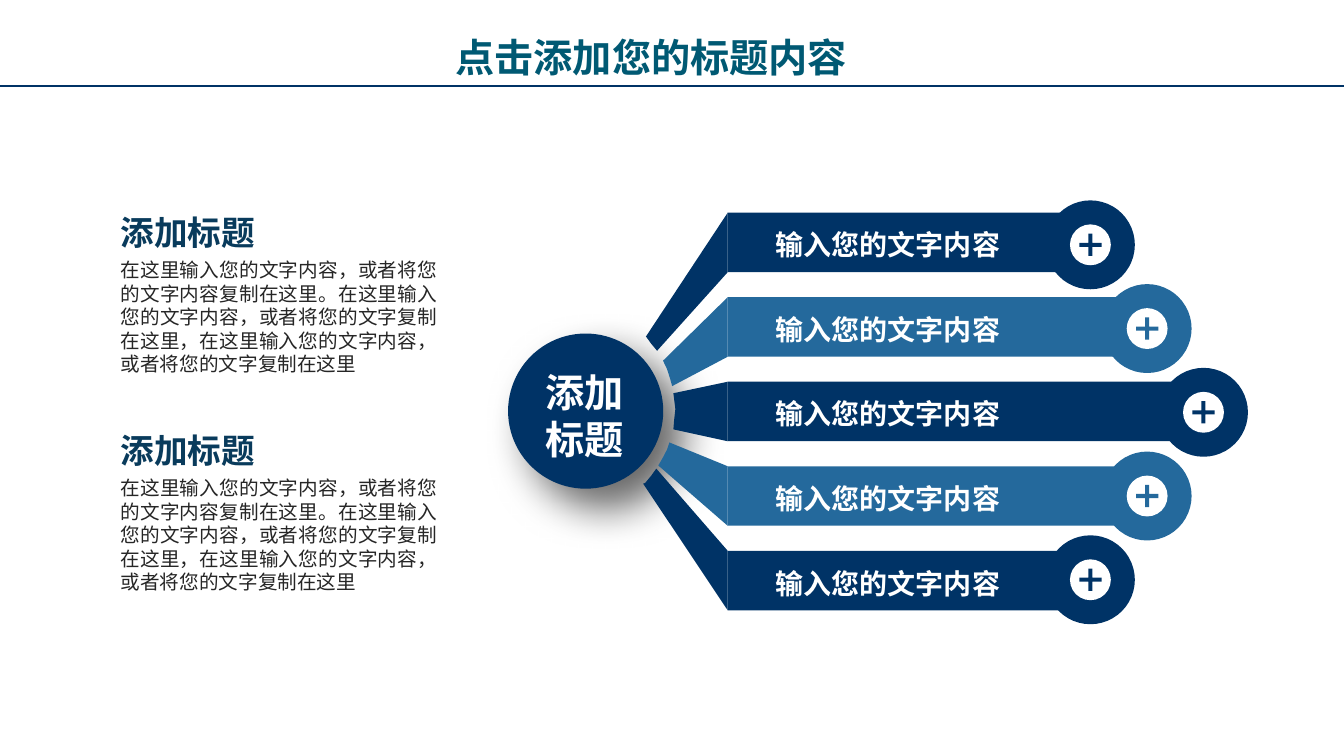
from dataclasses import dataclass

from lxml.etree import SubElement
from pptx import Presentation
from pptx.dml.color import RGBColor as Rgb
from pptx.enum.shapes import MSO_CONNECTOR as Connector, MSO_SHAPE as Preset
from pptx.enum.text import MSO_ANCHOR as Anchor, MSO_AUTO_SIZE as AutoSize, PP_ALIGN as Align
from pptx.oxml.ns import qn
from pptx.util import Cm, Pt


@dataclass(frozen=True)
class Theme:
    font: str = "Noto Sans CJK SC"
    navy: str = "003366"
    blue: str = "24699C"
    white: str = "FFFFFF"
    title: str = "005973"
    heading: str = "093B5C"
    body: str = "262626"
    title_size: int = 28
    heading_size: int = 24
    label_size: int = 20
    body_size: int = 14
    line_height: float = 1.2


@dataclass(frozen=True)
class Spoke:
    color: str
    disc_x: float
    hub_edge: tuple[tuple[float, float], ...]


THEME = Theme()
SLIDE_WIDTH, SLIDE_HEIGHT = 33.87, 19.05
BAR_LEFT, BAR_TOP, BAR_HEIGHT, BAR_PITCH = 18.34, 5.36, 1.5, 2.13
DISC_Y, DISC_PITCH, DISC_SIZE = 6.17, 2.11, 2.24
ICON_SIZE, PLUS_SIZE, PLUS_ADJUSTMENT = 1.03, 0.56, 0.41
HUB_X, HUB_Y, HUB_SIZE = 14.76, 10.36, 3.91
BLOCK_TOPS = (5.13, 10.62)
LABEL = "输入您的文字内容"
HEADING = "添加标题"
BODY = (
    "在这里输入您的文字内容，或者将您的文字内容复制在这里。"
    "在这里输入您的文字内容，或者将您的文字复制在这里，"
    "在这里输入您的文字内容，或者将您的文字复制在这里"
)
SPOKES = (
    Spoke(THEME.navy, 27.48, ((16.56, 8.84), (16.41, 8.66), (16.28, 8.48))),
    Spoke(THEME.blue, 28.91, ((16.94, 9.73), (16.89, 9.55), (16.81, 9.3), (16.71, 9.09))),
    Spoke(THEME.navy, 30.33, ((16.97, 10.82), (16.99, 10.59), (17.02, 10.31), (16.99, 10.06), (16.97, 9.91))),
    Spoke(THEME.blue, 28.91, ((16.59, 11.73), (16.69, 11.56), (16.81, 11.33), (16.87, 11.15))),
    Spoke(THEME.navy, 27.48, ((16.21, 12.19), (16.26, 12.17), (16.41, 11.99), (16.54, 11.81))),
)


def paint(shape, color: str):
    shape.shadow.inherit = False
    shape.fill.solid()
    shape.fill.fore_color.rgb = Rgb.from_string(color)
    shape.line.fill.background()
    return shape


def add_centred(shapes, preset, x: float, y: float, size: float, color: str):
    shape = shapes.add_shape(preset, Cm(x - size / 2), Cm(y - size / 2), Cm(size), Cm(size))
    return paint(shape, color)


def write(box, text: str, *, left: float, top: float, width: float, height: float,
          size: int, color: str, bold: bool = True, align=Align.LEFT) -> None:
    box.left, box.top, box.width, box.height = Cm(left), Cm(top), Cm(width), Cm(height)
    frame = box.text_frame
    frame.word_wrap = True
    frame.auto_size = AutoSize.NONE
    frame.vertical_anchor = Anchor.TOP
    frame.margin_left = frame.margin_right = Cm(0.25)
    frame.margin_top = Cm(0.13) + Pt(size * 0.09)
    frame.margin_bottom = 0
    para = frame.paragraphs[0]
    para.alignment = align
    para.line_spacing = Pt(size * THEME.line_height)
    para.space_before = Pt(0)
    span = para.add_run()
    span.text = text
    span.font.name = THEME.font
    span.font.size = Pt(size)
    span.font.bold = bold
    span.font.color.rgb = Rgb.from_string(color)
    SubElement(span._r.get_or_add_rPr(), qn("a:ea"), typeface=THEME.font)


def add_text(shapes, text: str, **style) -> None:
    write(shapes.add_textbox(0, 0, 0, 0), text, **style)


def add_header(page) -> None:
    write(page.shapes.title, "点击添加您的标题内容", left=11.23, top=0.61, width=11.43,
          height=1.45, size=THEME.title_size, color=THEME.title)
    rule = page.shapes.add_connector(Connector.STRAIGHT, 0, Cm(2.16), Cm(SLIDE_WIDTH), Cm(2.16))
    rule.line.color.rgb = Rgb.from_string(THEME.navy)
    rule.line.width = Pt(1.5)
    SubElement(rule._element.spPr, qn("a:effectLst"))


def add_hub(page) -> None:
    hub = add_centred(page.shapes, Preset.OVAL, HUB_X, HUB_Y, HUB_SIZE, THEME.navy)
    effects = hub._element.spPr.find(qn("a:effectLst"))
    shadow = SubElement(effects, qn("a:outerShdw"), blurRad=str(Pt(30)), dist=str(Pt(20)),
                        dir=str(45 * 60000), algn="tl", rotWithShape="0")
    shade = SubElement(shadow, qn("a:srgbClr"), val="000000")
    SubElement(shade, qn("a:alpha"), val="60000")


def add_spoke(page, row: int, spoke: Spoke) -> None:
    shapes = page.shapes.add_group_shape().shapes
    top = BAR_TOP + row * BAR_PITCH
    disc_y = DISC_Y + row * DISC_PITCH
    bar = shapes.add_shape(Preset.RECTANGLE, Cm(BAR_LEFT), Cm(top),
                           Cm(spoke.disc_x - BAR_LEFT), Cm(BAR_HEIGHT))
    paint(bar, spoke.color)
    ray = shapes.build_freeform(Cm(BAR_LEFT), Cm(top))
    outline = ((BAR_LEFT, top + BAR_HEIGHT), *spoke.hub_edge)
    ray.add_line_segments([(Cm(x), Cm(y)) for x, y in outline])
    paint(ray.convert_to_shape(), spoke.color)
    add_centred(shapes, Preset.OVAL, spoke.disc_x, disc_y, DISC_SIZE, spoke.color)
    add_centred(shapes, Preset.OVAL, spoke.disc_x, disc_y, ICON_SIZE, THEME.white)
    plus = add_centred(shapes, Preset.CROSS, spoke.disc_x, disc_y, PLUS_SIZE, spoke.color)
    plus.adjustments[0] = PLUS_ADJUSTMENT
    add_text(page.shapes, LABEL, left=19.3, top=top + 0.19, width=7.21, height=1.12,
             size=THEME.label_size, color=THEME.white)


def add_block(page, top: float) -> None:
    add_text(page.shapes, HEADING, left=2.79, top=top, width=8.48, height=1.27,
             size=THEME.heading_size, color=THEME.heading)
    add_text(page.shapes, BODY, left=2.79, top=top + 1.2, width=8.48, height=3.25,
             size=THEME.body_size, color=THEME.body, bold=False, align=Align.JUSTIFY)


def main() -> None:
    deck = Presentation()
    deck.slide_width, deck.slide_height = Cm(SLIDE_WIDTH), Cm(SLIDE_HEIGHT)
    page = deck.slides.add_slide(deck.slide_layouts.get_by_name("Title Only"))
    add_header(page)
    add_hub(page)
    for row, spoke in enumerate(SPOKES):
        add_spoke(page, row, spoke)
    for top in BLOCK_TOPS:
        add_block(page, top)
    add_text(page.shapes, HEADING, left=13.23, top=9.07, width=3.02, height=2.64,
             size=THEME.title_size, color=THEME.white, align=Align.CENTER)
    deck.save("out.pptx")


if __name__ == "__main__":
    main()
